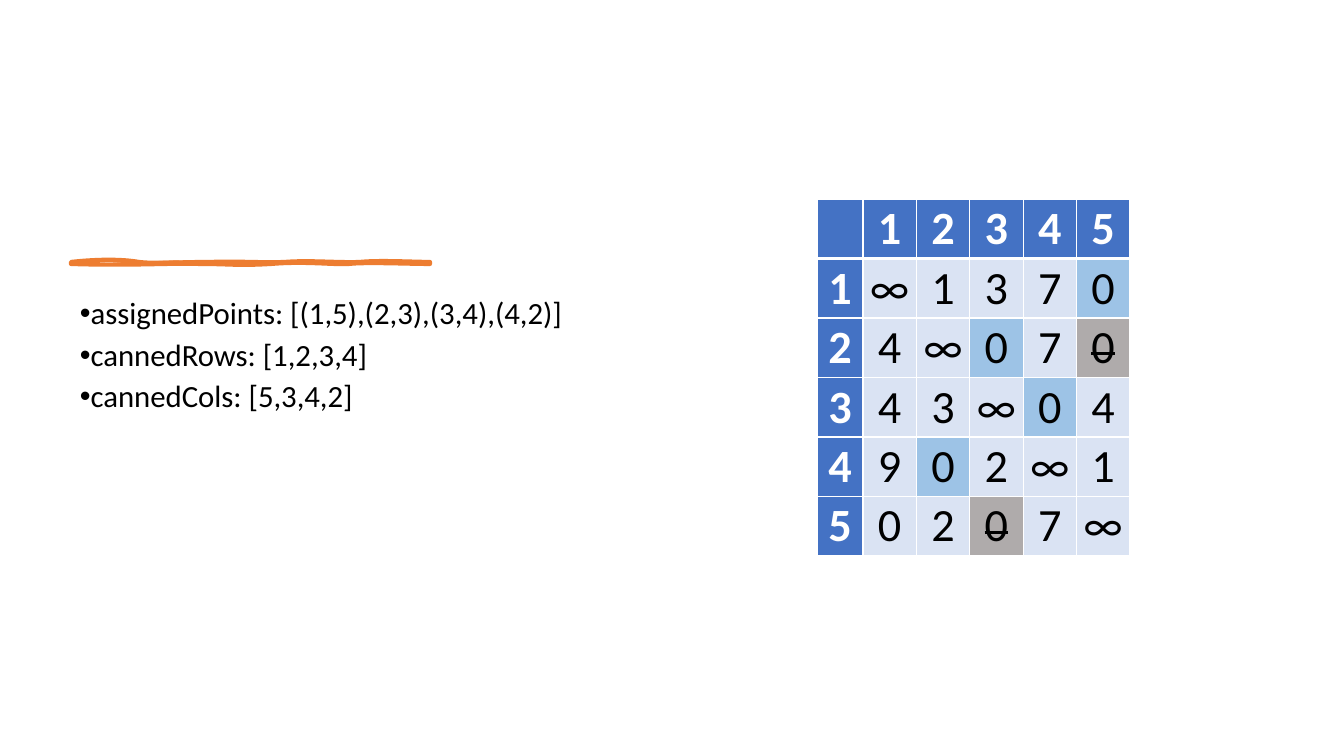
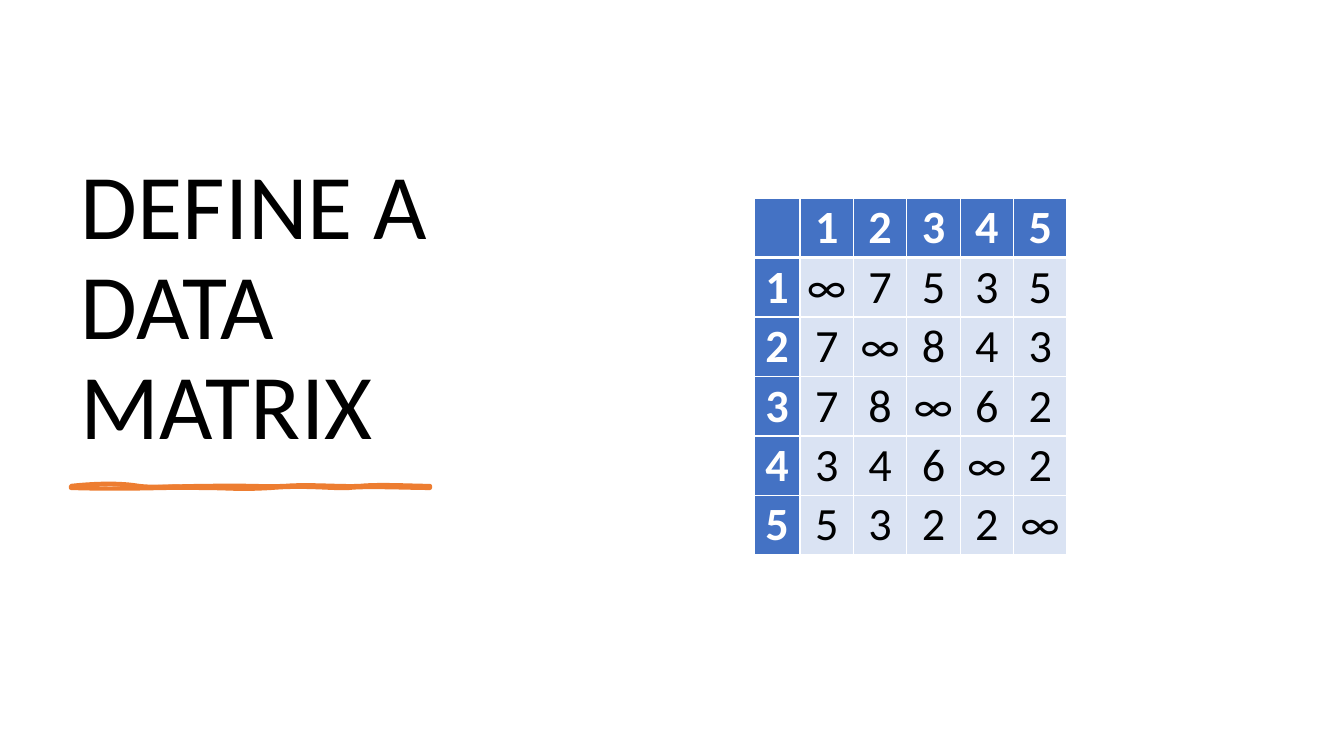
from lxml import etree
from pptx import Presentation
from pptx.dml.color import RGBColor
from pptx.enum.text import MSO_ANCHOR, PP_ALIGN
from pptx.oxml.ns import qn
from pptx.util import Emu, Pt

MIDDLE, BOTTOM = MSO_ANCHOR.MIDDLE, MSO_ANCHOR.BOTTOM
CENTER = PP_ALIGN.CENTER

FONT = "Calibri"
COLORS = {
    "text": "000000",
    "white": "FFFFFF",
    "header": "4472C4",
    "cell": "DAE3F3",
    "assigned": "9DC3E6",
    "crossed": "AFABAB",
    "stroke": "ED7D31",
}

SLIDES = [
    {
        "stroke_top": 262,
        "bullets": [
            "assignedPoints: [(1,5),(2,3),(3,4),(4,2)]",
            "cannedRows: [1,2,3,4]",
            "cannedCols: [5,3,4,2]",
        ],
        "matrix_at": (817, 199),
        "matrix": ["∞1370", "4∞070", "43∞04", "902∞1", "0207∞"],
        "assigned": [(1, 5), (2, 3), (3, 4), (4, 2)],
        "crossed": [(2, 5), (5, 3)],
    },
    {
        "title": "DEFINE A DATA MATRIX",
        "stroke_top": 486,
        "matrix_at": (754, 198),
        "matrix": ["∞7535", "7∞843", "78∞62", "346∞2", "5322∞"],
        "assigned": [],
        "crossed": [],
    },
]

TITLE_BOX = (71, 70, 394, 394)
BULLET_BOX = (70, 293, 531, 391)
MATRIX_SIZE = (313, 357)
LABEL_WIDTH = 46
BULLET_INDENT = 25

STROKE_LEFT = 71
STROKE_OUTLINE = [
    ((27, -3), (51, -3), (68, 0)),
    ((85, 2), (107, 0), (139, 0)),
    ((171, -1), (190, 1), (214, 0)),
    ((238, -2), (269, 1), (289, 0)),
    ((309, -2), (342, 0), (359, 0)),
    ((359, 0), (359, 1), (359, 2)),
    ((338, 2), (294, 0), (278, 2)),
    ((262, 3), (234, -1), (200, 2)),
    ((165, 4), (161, 2), (129, 2)),
    ((96, 1), (62, 4), (0, 2)),
    ((0, 1), (0, 0), (0, 0)),
]
STROKE_BODY = [
    ((32, 2), (40, 0), (68, 0)),
    ((96, -1), (99, -3), (129, 0)),
    ((158, 2), (191, 1), (207, 0)),
    ((223, -2), (257, 2), (274, 0)),
    ((292, -3), (327, 3), (359, 0)),
    ((359, 0), (359, 1), (359, 2)),
    ((342, 1), (302, 4), (285, 2)),
    ((268, -1), (239, 2), (207, 2)),
    ((174, 1), (170, 0), (146, 2)),
    ((123, 3), (109, 1), (75, 2)),
    ((41, 2), (22, 1), (0, 2)),
    ((0, 1), (0, 0), (0, 0)),
]


def px(length):
    return Emu(round(length * 914400 / 100.8))


def color(name):
    return RGBColor.from_string(COLORS[name])


def style(paragraph, size, color_name="text", bold=False):
    for span in paragraph.runs:
        span.font.name = FONT
        span.font.size = Pt(size)
        span.font.bold = bold
        span.font.color.rgb = color(color_name)


def add_text_box(page, bounds):
    frame = page.shapes.add_textbox(*map(px, bounds)).text_frame
    frame.word_wrap = True
    return frame


def add_title(page, title):
    frame = add_text_box(page, TITLE_BOX)
    frame.vertical_anchor = BOTTOM
    frame.text = title
    para = frame.paragraphs[0]
    para.line_spacing = 0.9
    style(para, 66)


def add_bullets(page, bullets):
    frame = add_text_box(page, BULLET_BOX)
    frame.text = "\n".join(bullets)
    for para in frame.paragraphs:
        para.line_spacing = 0.9
        para.space_after = Pt(6)
        properties = para._p.get_or_add_pPr()
        properties.set("marL", "0")
        properties.set("indent", str(-px(BULLET_INDENT)))
        etree.SubElement(properties, qn("a:buFont"), typeface="Arial")
        etree.SubElement(properties, qn("a:buChar"), char="•")
        style(para, 22)


def add_segment(contour, tag, points):
    segment = etree.SubElement(contour, qn(tag))
    for x, y in points:
        etree.SubElement(segment, qn("a:pt"), x=str(px(x)), y=str(px(y)))


def add_stroke(page, top):
    builder = page.shapes.build_freeform(px(STROKE_LEFT), px(top))
    corners = [(px(STROKE_LEFT + x), px(top + y)) for *_, (x, y) in STROKE_OUTLINE]
    builder.add_line_segments(corners)
    shape = builder.convert_to_shape()
    shape.shadow.inherit = False
    shape.fill.solid()
    shape.fill.fore_color.rgb = color("stroke")
    shape.line.color.rgb = color("stroke")
    shape.line.width = Pt(3)

    contours = shape._element.find(".//" + qn("a:pathLst"))
    for contour in list(contours):
        contours.remove(contour)
    size = {"w": str(shape.width), "h": str(shape.height)}
    for curves, paint in (
        (STROKE_OUTLINE, {"fill": "none"}),
        (STROKE_BODY, {"stroke": "0"}),
    ):
        contour = etree.SubElement(contours, qn("a:path"), {**size, **paint})
        add_segment(contour, "a:moveTo", [(0, 0)])
        for curve in curves:
            add_segment(contour, "a:cubicBezTo", curve)
        etree.SubElement(contour, qn("a:close"))


def add_borders(cell, row):
    widths = {
        "a:lnL": 1,
        "a:lnR": 1,
        "a:lnT": 3 if row == 1 else 1,
        "a:lnB": 3 if row == 0 else 1,
    }
    properties = cell._tc.get_or_add_tcPr()
    for tag, width in widths.items():
        line = etree.SubElement(properties, qn(tag), w=str(Pt(width)))
        fill = etree.SubElement(line, qn("a:solidFill"))
        etree.SubElement(fill, qn("a:srgbClr"), val=COLORS["white"])


def fill_cell(cell, value, position, content):
    row, column = position
    is_label = row == 0 or column == 0
    is_crossed = position in content["crossed"]
    if is_label:
        fill = "header"
    elif is_crossed:
        fill = "crossed"
    elif position in content["assigned"]:
        fill = "assigned"
    else:
        fill = "cell"
    add_borders(cell, row)
    cell.fill.solid()
    cell.fill.fore_color.rgb = color(fill)
    cell.margin_left = cell.margin_right = 0
    cell.margin_top = cell.margin_bottom = 0
    cell.vertical_anchor = MIDDLE
    if not value:
        return
    cell.text = value
    para = cell.text_frame.paragraphs[0]
    para.alignment = CENTER
    style(para, 33, "white" if is_label else "text", is_label)
    if is_crossed:
        para.runs[0]._r.get_or_add_rPr().set("strike", "sngStrike")


def add_matrix(page, content):
    matrix = content["matrix"]
    labels = [str(number + 1) for number in range(len(matrix))]
    rows = [["", *labels]]
    rows += [[label, *values] for label, values in zip(labels, matrix)]
    count = len(rows)
    width, height = MATRIX_SIZE
    bounds = map(px, (*content["matrix_at"], width, height))
    table = page.shapes.add_table(count, count, *bounds).table
    table.horz_banding = False
    for index in range(count):
        table.rows[index].height = px(height / count)
        table.columns[index].width = px((width - LABEL_WIDTH) / (count - 1))
    table.columns[0].width = px(LABEL_WIDTH)
    for row, values in enumerate(rows):
        for column, value in enumerate(values):
            fill_cell(table.cell(row, column), value, (row, column), content)


def main():
    deck = Presentation()
    deck.slide_width, deck.slide_height = px(1344), px(756)
    for content in SLIDES:
        page = deck.slides.add_slide(deck.slide_layouts[6])
        if "title" in content:
            add_title(page, content["title"])
        add_stroke(page, content["stroke_top"])
        if "bullets" in content:
            add_bullets(page, content["bullets"])
        add_matrix(page, content)
    deck.save("out.pptx")


if __name__ == "__main__":
    main()
